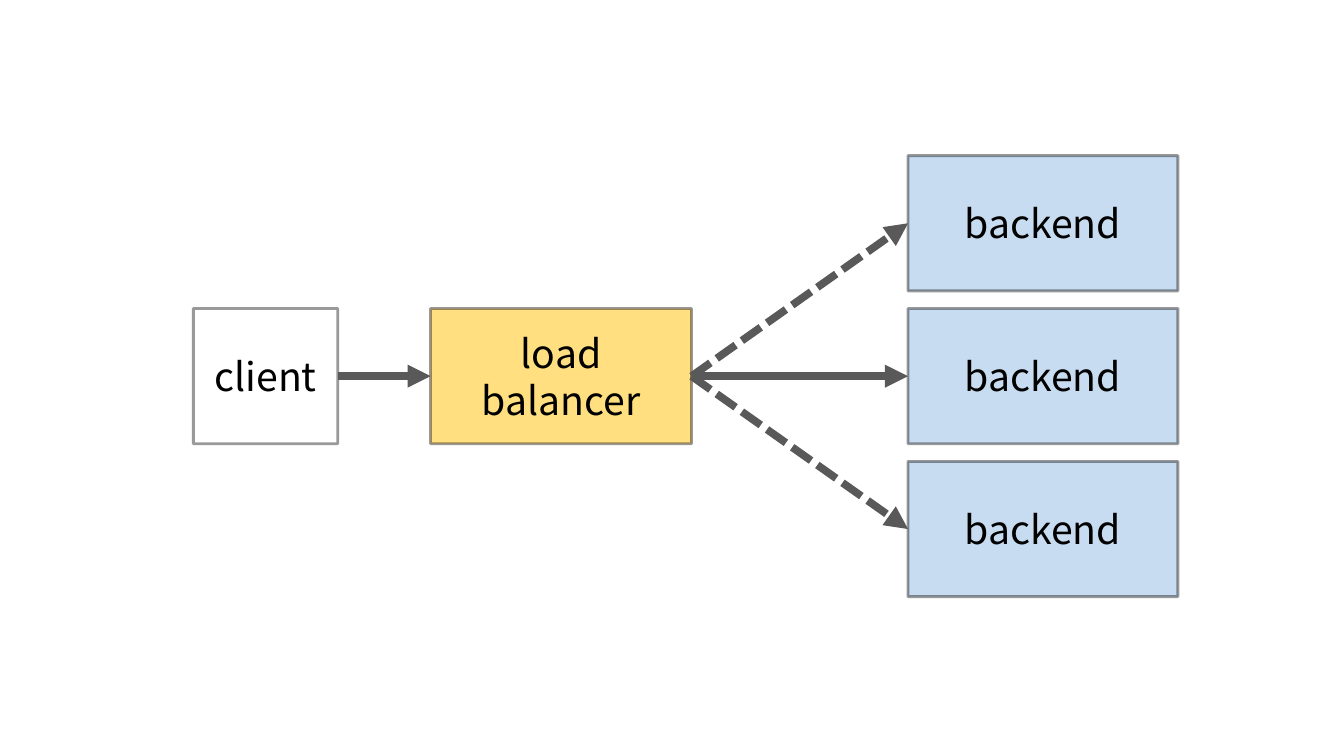
"""Draw a client, a load balancer and its three backends."""
from dataclasses import dataclass

from lxml.etree import SubElement
from pptx import Presentation
from pptx.dml.color import RGBColor
from pptx.enum.dml import MSO_LINE
from pptx.enum.shapes import MSO_CONNECTOR, MSO_SHAPE
from pptx.enum.text import MSO_ANCHOR, PP_ALIGN
from pptx.oxml.ns import qn
from pptx.shapes.autoshape import Shape
from pptx.shapes.connector import Connector
from pptx.slide import Slide
from pptx.util import Pt


@dataclass(frozen=True)
class Theme:
    font: str = "Noto Sans CJK SC"
    size: float = 28
    ink: str = "000000"
    white: str = "FFFFFF"
    gold: str = "FFC000"
    blue: str = "9DC3E6"
    gray: str = "595959"
    edge: float = 2
    edge_alpha: int = 40
    arrow: float = 5.5


@dataclass(frozen=True)
class Box:
    text: str
    left: float
    top: float
    width: float
    fill: str
    alpha: int = 100


@dataclass(frozen=True)
class Link:
    start: Shape
    end: Shape
    dashed: bool = False


THEME = Theme()
HEIGHT = 96.6
MID = 220.4
PITCH = 109.2
LEFT, RIGHT = 1, 3
CLIENT = Box("client", 138.1, MID, 103.2, THEME.white)
BALANCER = Box("load balancer", 307.6, MID, 186.4, THEME.gold, 50)
BACKENDS = [Box("backend", 648.6, MID + row * PITCH, 192.8, THEME.blue, 57)
            for row in (0, -1, 1)]


def set_alpha(fill, percent: int) -> None:
    """Make a solid fill partly transparent."""
    color = fill._xPr.find(".//" + qn("a:srgbClr"))
    SubElement(color, qn("a:alpha"), val=str(percent * 1000))


def add_box(slide: Slide, box: Box) -> Shape:
    """Draw a labelled box."""
    shape = slide.shapes.add_shape(
        MSO_SHAPE.RECTANGLE, Pt(box.left), Pt(box.top), Pt(box.width), Pt(HEIGHT))
    shape.shadow.inherit = False
    shape.line.width = Pt(THEME.edge)
    for fill, color, alpha in ((shape.fill, box.fill, box.alpha),
                               (shape.line.fill, THEME.ink, THEME.edge_alpha)):
        fill.solid()
        fill.fore_color.rgb = RGBColor.from_string(color)
        set_alpha(fill, alpha)
    frame = shape.text_frame
    frame.word_wrap = True
    frame.vertical_anchor = MSO_ANCHOR.MIDDLE
    frame.text = box.text
    label = frame.paragraphs[0]
    label.alignment = PP_ALIGN.CENTER
    label.font.name = THEME.font
    label.font.size = Pt(THEME.size)
    label.font.color.rgb = RGBColor.from_string(THEME.ink)
    return shape


def add_link(slide: Slide, link: Link) -> Connector:
    """Join two boxes with an arrow."""
    line = slide.shapes.add_connector(MSO_CONNECTOR.STRAIGHT, 0, 0, 0, 0)
    line.begin_connect(link.start, RIGHT)
    line.end_connect(link.end, LEFT)
    line.line.width = Pt(THEME.arrow)
    line.line.color.rgb = RGBColor.from_string(THEME.gray)
    if link.dashed:
        line.line.dash_style = MSO_LINE.SQUARE_DOT
    props = line._element.spPr
    SubElement(props.find(qn("a:ln")), qn("a:tailEnd"), type="triangle")
    SubElement(props, qn("a:effectLst"))
    return line


def main() -> None:
    """Build and save the slide."""
    deck = Presentation()
    deck.slide_width, deck.slide_height = Pt(960), Pt(540)
    slide = deck.slides.add_slide(deck.slide_layouts[6])
    client, hub = add_box(slide, CLIENT), add_box(slide, BALANCER)
    ends = [add_box(slide, box) for box in BACKENDS]
    add_link(slide, Link(client, hub))
    for index, end in enumerate(ends):
        add_link(slide, Link(hub, end, dashed=index > 0))
    deck.save("out.pptx")


if __name__ == "__main__":
    main()
